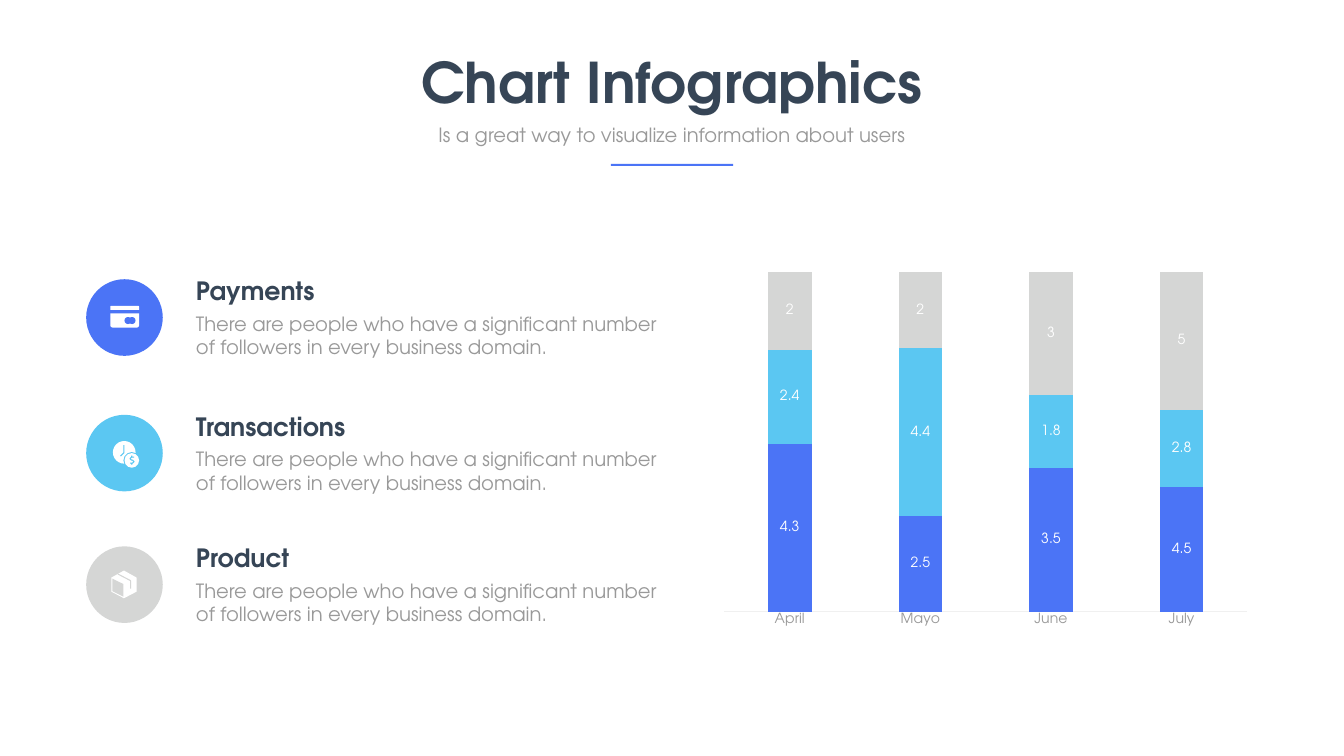
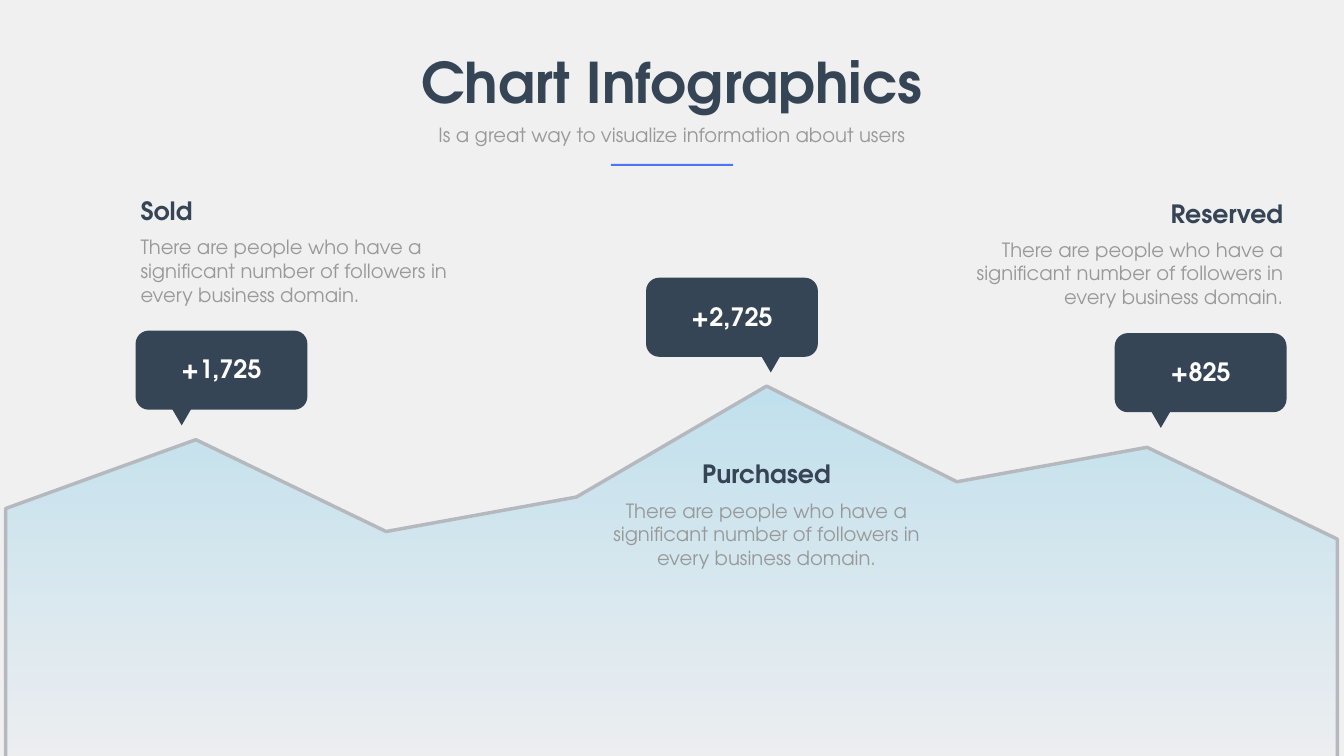
from lxml.etree import SubElement
from pptx import Presentation
from pptx.chart.data import CategoryChartData
from pptx.dml.color import RGBColor
from pptx.enum.chart import XL_CHART_TYPE, XL_LABEL_POSITION, XL_TICK_MARK
from pptx.enum.shapes import MSO_SHAPE
from pptx.enum.text import MSO_AUTO_SIZE, PP_ALIGN
from pptx.oxml.ns import qn
from pptx.util import Inches, Pt

RECT, ROUNDED = MSO_SHAPE.RECTANGLE, MSO_SHAPE.ROUNDED_RECTANGLE
OVAL, TRIANGLE = MSO_SHAPE.OVAL, MSO_SHAPE.ISOSCELES_TRIANGLE
TAB = MSO_SHAPE.ROUND_2_SAME_RECTANGLE
LEFT, CENTER, RIGHT = PP_ALIGN.LEFT, PP_ALIGN.CENTER, PP_ALIGN.RIGHT
STACKED_COLUMNS = XL_CHART_TYPE.COLUMN_STACKED_100
STACKED_AREA = XL_CHART_TYPE.AREA_STACKED
LABEL_CENTER = XL_LABEL_POSITION.CENTER
NO_TICK = XL_TICK_MARK.NONE
FIT_TEXT = MSO_AUTO_SIZE.SHAPE_TO_FIT_TEXT

FONT = "TeX Gyre Adventor"
NAVY, GRAY, WHITE = "364556", "999999", "FFFFFF"
BLUE, SKY, SILVER = "4B74F6", "5BC7F2", "D5D6D5"
PALE, AXIS_GRAY, VEIL = "F6F8FF", "F0F0F0", "EBEBEB"
BLURB = ("There are people who have a significant number of followers "
         "in every business domain.")


def rgb(color):
    """Turn a hex string into a colour."""
    return RGBColor.from_string(color)


def style_font(font, size, color, bold=False):
    """Apply the shared typeface with a size and colour."""
    font.name, font.size, font.bold = FONT, Pt(size), bold
    font.color.rgb = rgb(color)


def add_text(slide, box, text, size, color, bold=False, align=LEFT):
    """Add a wrapped text box."""
    area = slide.shapes.add_textbox(*map(Inches, box))
    frame = area.text_frame
    frame.word_wrap = True
    frame.auto_size = FIT_TEXT
    frame.text = text
    paragraph = frame.paragraphs[0]
    paragraph.alignment = align
    style_font(paragraph.runs[0].font, size, color, bold)


def add_solid(slide, kind, box, color):
    """Add a flat preset shape without outline."""
    solid = slide.shapes.add_shape(kind, *map(Inches, box))
    solid.shadow.inherit = False
    solid.fill.solid()
    solid.fill.fore_color.rgb = rgb(color)
    solid.line.fill.background()
    return solid


def add_outline(slide, left, top, points, fill=None, stroke=None, width=1.5):
    """Draw a filled polygon or an open stroke through points relative to a corner."""
    spots = [(Inches(left + x), Inches(top + y)) for x, y in points]
    builder = slide.shapes.build_freeform(*spots[0], scale=1.0)
    builder.add_line_segments(spots[1:], close=fill is not None)
    outline = builder.convert_to_shape()
    outline.shadow.inherit = False
    if fill:
        outline.fill.solid()
        outline.fill.fore_color.rgb = rgb(fill)
        outline.line.fill.background()
    else:
        outline.fill.background()
        outline.line.color.rgb = rgb(stroke)
        outline.line.width = Pt(width)


def add_header(slide):
    """Place the title, subtitle and accent rule."""
    add_text(slide, (6.88, 0.9, 12.91, 1.45), "Chart Infographics",
             80, NAVY, True, CENTER)
    add_text(slide, (8.55, 2.38, 9.56, 0.57),
             "Is a great way to visualize information about users",
             28, GRAY, align=CENTER)
    add_solid(slide, RECT, (12.12, 3.25, 2.43, 0.04), BLUE)


def add_topic(slide, left, top, heading, width, blurb_width, gap, blurb_height,
              align=LEFT):
    """Place a heading with its description below."""
    add_text(slide, (left, top + gap, blurb_width, blurb_height), BLURB,
             28, GRAY, align=align)
    add_text(slide, (left, top, width, 0.71), heading, 36, NAVY, True, align)


def draw_card(slide, left, top, color):
    """Draw the payment card in its circle."""
    add_solid(slide, TAB, (left + 0.48, top + 0.53, 0.57, 0.08), WHITE)
    body = add_solid(slide, TAB, (left + 0.48, top + 0.68, 0.57, 0.28), WHITE)
    body.rotation = 180
    for x in (0.76, 0.84):
        add_solid(slide, OVAL, (left + x, top + 0.75, 0.14, 0.14), color)


def draw_clock(slide, left, top, color):
    """Draw the clock and coin in their circle."""
    add_solid(slide, OVAL, (left + 0.53, top + 0.52, 0.45, 0.45), WHITE)
    add_outline(slide, left, top, [(0.75, 0.6), (0.75, 0.75), (0.68, 0.82)],
                stroke=color)
    add_solid(slide, OVAL, (left + 0.74, top + 0.74, 0.33, 0.33), color)
    add_solid(slide, OVAL, (left + 0.76, top + 0.76, 0.29, 0.29), WHITE)
    add_outline(slide, left, top,
                [(0.95, 0.84), (0.9, 0.84), (0.87, 0.87), (0.9, 0.9),
                 (0.92, 0.9), (0.95, 0.93), (0.92, 0.96), (0.87, 0.96)],
                stroke=color)
    for y in (0.81, 0.96):
        add_solid(slide, RECT, (left + 0.89, top + y, 0.03, 0.03), color)


def draw_parcel(slide, left, top, color):
    """Draw the product box in its circle."""
    add_outline(slide, left, top,
                [(0.5, 0.62), (0.75, 0.48), (1, 0.62), (1, 0.9),
                 (0.75, 1.03), (0.5, 0.9)], fill=WHITE)
    add_outline(slide, left, top,
                [(0.52, 0.64), (0.74, 0.75), (0.74, 1), (0.52, 0.89)], fill=color)
    add_outline(slide, left, top, [(0.63, 0.55), (0.88, 0.68), (0.88, 0.84)],
                stroke=color)


def add_legend_row(slide, left, top, heading, color, draw_icon):
    """Place a circled icon and its topic."""
    add_solid(slide, OVAL, (left, top, 1.52, 1.52), color)
    draw_icon(slide, left, top, color)
    add_topic(slide, left + 2.08, top - 0.12, heading, 7.75, 9.55, 0.71, 1.04)


def add_bare_chart(slide, kind, box, categories, series):
    """Add a chart with no title, legend, gridlines or value axis."""
    data = CategoryChartData()
    data.categories = categories
    for name, values in series:
        data.add_series(name, values)
    chart = slide.shapes.add_chart(kind, *map(Inches, box), data).chart
    chart.has_title = chart.has_legend = False
    style_font(chart.font, 20, GRAY)
    chart.value_axis.has_major_gridlines = False
    chart.value_axis.visible = False
    chart.plots[0].vary_by_categories = False
    return chart


def add_month_columns(slide, box):
    """Place the stacked monthly columns."""
    series = [("Series 1", (4.3, 2.5, 3.5, 4.5)),
              ("Series 2", (2.4, 4.4, 1.8, 2.8)),
              ("Series 3", (2, 2, 3, 5))]
    chart = add_bare_chart(slide, STACKED_COLUMNS, box,
                           ["April", "Mayo", "June", "July"], series)
    months = chart.category_axis
    months.major_tick_mark = months.minor_tick_mark = NO_TICK
    months.format.line.color.rgb = rgb(AXIS_GRAY)
    months.format.line.width = Pt(0.75)
    style_font(months.tick_labels.font, 20, GRAY)
    columns = chart.plots[0]
    columns.gap_width, columns.overlap = 200, 100
    for layer, color in zip(columns.series, (BLUE, SKY, SILVER)):
        layer.format.fill.solid()
        layer.format.fill.fore_color.rgb = rgb(color)
        labels = layer.data_labels
        labels.show_value = True
        labels.position = LABEL_CENTER
        style_font(labels.font, 20, WHITE)


def add_landscape(slide, box):
    """Place the full-width gradient area."""
    chart = add_bare_chart(slide, STACKED_AREA, box, list("12345678"),
                           [("Series 1", (68, 86, 62, 71, 100, 75, 84, 60))])
    chart.category_axis.visible = False
    chart.value_axis.minimum_scale = 0
    chart.value_axis.maximum_scale = 111
    for crossing in chart.element.iter(qn("c:crossBetween")):
        crossing.set("val", "midCat")
    hills = chart.plots[0].series[0].format
    hills.fill.gradient()
    hills.fill.gradient_angle = 270
    for stop, color, position in zip(hills.fill.gradient_stops, (SKY, PALE), (0, 1)):
        stop.color.rgb = rgb(color)
        stop.position = position
    hills.line.color.rgb = rgb(NAVY)
    hills.line.width = Pt(5)


def add_veil(slide, box):
    """Cover the area with a translucent grey sheet."""
    veil = add_solid(slide, RECT, box, VEIL)
    tint = next(veil.element.iter(qn("a:srgbClr")))
    SubElement(tint, qn("a:alpha")).set("val", "70000")


def add_callout(slide, left, top, figure, pointer=0.63):
    """Place a rounded bubble whose pointer starts at the given offset."""
    add_solid(slide, ROUNDED, (left, top, 3.41, 1.57), NAVY)
    tip = add_solid(slide, TRIANGLE, (left + pointer, top + 1.39, 0.57, 0.49), NAVY)
    tip.rotation = 180
    add_text(slide, (left + 0.37, top + 0.41, 2.67, 0.71), figure,
             36, WHITE, True, CENTER)


def build_columns_slide(slide):
    """Fill the slide with the column chart and its legend."""
    add_month_columns(slide, (14.16, 5.25, 10.8, 7.33))
    rows = [(5.54, "Payments", BLUE, draw_card),
            (8.23, "Transactions", SKY, draw_clock),
            (10.84, "Product", SILVER, draw_parcel)]
    for top, heading, color, draw_icon in rows:
        add_legend_row(slide, 1.71, top, heading, color, draw_icon)
    add_header(slide)


def build_area_slide(slide):
    """Fill the slide with the area chart and its callouts."""
    add_landscape(slide, (-0.44, 6.65, 27.53, 8.78))
    add_veil(slide, (-0.29, 0, 27.24, 15.43))
    for left, top, heading, align in [(2.69, 3.83, "Sold", LEFT),
                                      (12.06, 9.05, "Purchased", CENTER),
                                      (19.26, 3.88, "Reserved", RIGHT)]:
        add_topic(slide, left, top, heading, 6.3, 6.3, 0.79, 1.51, align)
    add_callout(slide, 2.69, 6.56, "+1,725")
    add_callout(slide, 12.82, 5.51, "+2,725", pointer=2.19)
    add_callout(slide, 22.12, 6.61, "+825")
    add_header(slide)


def main():
    """Build and save the presentation."""
    deck = Presentation()
    deck.slide_width, deck.slide_height = Inches(26.67), Inches(15)
    for build in (build_columns_slide, build_area_slide):
        slide = deck.slides.add_slide(deck.slide_layouts[6])
        slide.background.fill.solid()
        slide.background.fill.fore_color.rgb = rgb(WHITE)
        build(slide)
    deck.save("out.pptx")


if __name__ == "__main__":
    main()
